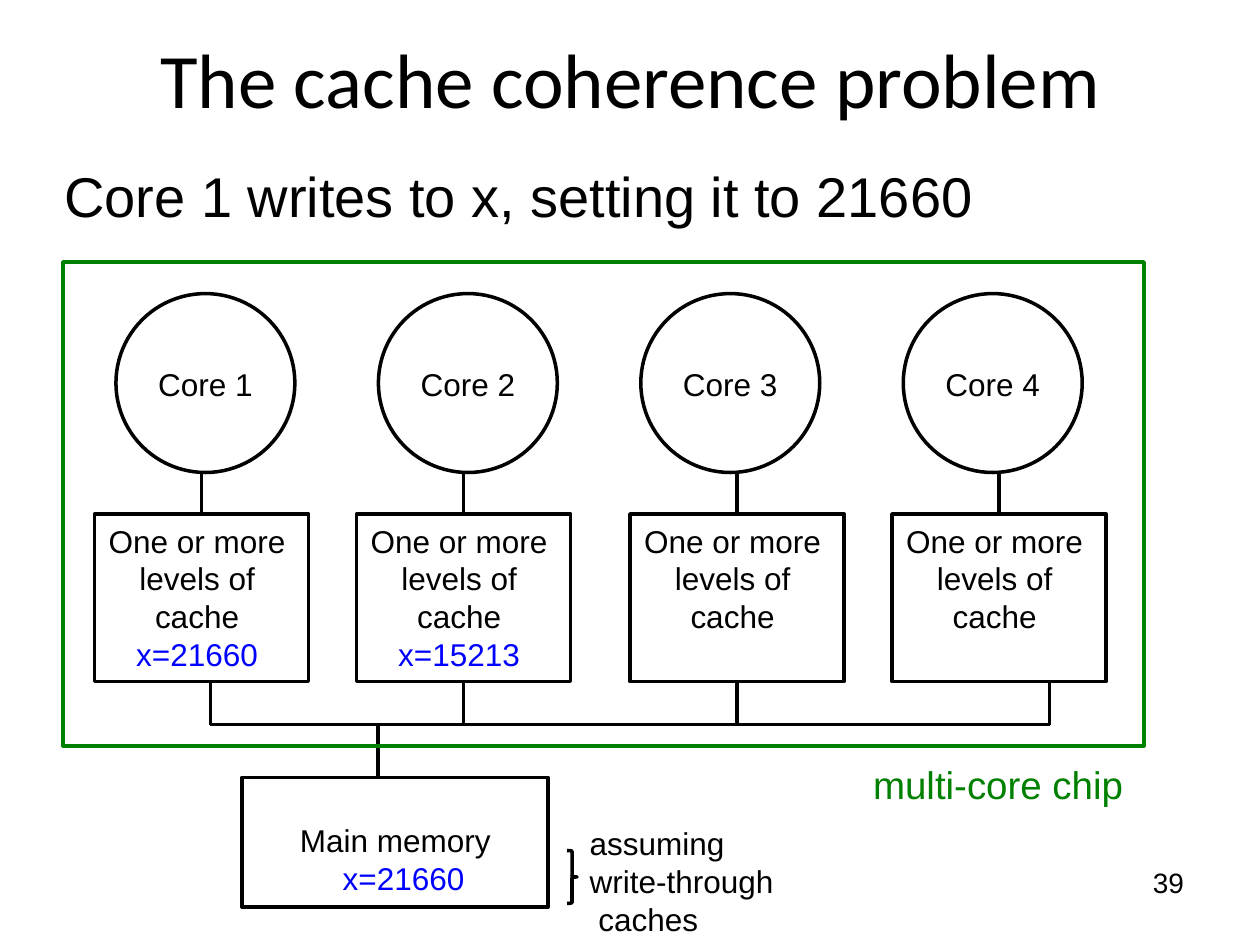
from lxml import etree
from pptx import Presentation
from pptx.dml.color import RGBColor
from pptx.enum import shapes, text
from pptx.oxml import ns
from pptx.util import Inches, Pt

THEME = {
    "font": "Arial", "title_font": "Calibri",
    "ink": RGBColor(0x00, 0x00, 0x00), "value": RGBColor(0x00, 0x00, 0xFF),
    "line": RGBColor(0x01, 0x01, 0x01), "chip": RGBColor(0x00, 0x80, 0x00),
    "title": 44, "lead": 32, "chip_label": 22, "body": 18, "number": 16,
    "stroke": 2,
}
LEFT, CENTER = text.PP_ALIGN.LEFT, text.PP_ALIGN.CENTER
TOP, MIDDLE = text.MSO_ANCHOR.TOP, text.MSO_ANCHOR.MIDDLE
SHAPE = shapes.MSO_SHAPE

# Content: a line is (text, colour key, left indent in inches)
TITLE = "The cache coherence problem"
CACHE_LINES = [("One or more", "ink", 0), ("levels of", "ink", 0), ("cache", "ink", 0)]
CORES = [  # core name, cached value, left edge of cache box, x of drop to bus
    ("Core 1", "x=21660", 0.75, 1.67),
    ("Core 2", "x=15213", 2.83, None),
    ("Core 3", None, 5.0, None),
    ("Core 4", None, 7.08, 8.33),
]
MEMORY_LINES = [("Main memory", "ink", 0.02), ("x=21660", "value", 0.36)]
LABELS = [  # lines, box, size key
    ([("Core 1 writes to x, setting it to 21660", "ink", 0.01)],
     (0.5, 1.27, 7.4, 0.56), "lead"),
    ([("multi-core chip", "chip", 0.01)], (6.92, 6.03, 2.1, 0.4), "chip_label"),
    ([("assuming", "ink", 0.01), ("write-through", "ink", 0.01), ("caches", "ink", 0.08)],
     (4.67, 6.53, 1.6, 0.93), "body"),
    ([("39", "ink", 0.01)], (9.14, 6.86, 0.35, 0.3), "number"),
]

# Geometry, in inches
CHIP = (0.5, 2.08, 8.58, 3.84)
MEMORY = (1.92, 6.17, 2.43, 1.03)
BRACE = (4.5, 6.75, 0.08, 0.42)
CORE_LEFT, CORE_TOP, CORE_SIZE, CORE_STEP = 0.92, 2.33, 1.42, 2.083
CACHE_TOP, CACHE_W, CACHE_H = 4.08, 1.7, 1.33
BUS_Y, BUS_TO_MEMORY_X = 5.75, 3.0


def write(sp, lines, size="body", align=LEFT, anchor=TOP,
          margins=(0, 0.01, 0, 0), font="font"):
    tf = sp.text_frame
    left, top, right, bottom = map(Inches, margins)
    frame = {"word_wrap": True, "auto_size": text.MSO_AUTO_SIZE.NONE,
             "vertical_anchor": anchor, "margin_left": left, "margin_top": top,
             "margin_right": right, "margin_bottom": bottom}
    for name, value in frame.items():
        setattr(tf, name, value)
    for i, (words, colour, indent) in enumerate(lines):
        p = tf.paragraphs[0] if i == 0 else tf.add_paragraph()
        p.alignment = align
        p.space_before = Pt(1 if i == 0 else 0)
        p._p.get_or_add_pPr().set("marL", str(Inches(indent)))
        r = p.add_run()
        r.text = words
        r.font.size, r.font.name = Pt(THEME[size]), THEME[font]
        r.font.color.rgb = THEME[colour]


def outline(slide, kind, box, colour="line"):
    sp = slide.shapes.add_shape(kind, *map(Inches, box))
    sp.shadow.inherit = False
    sp.fill.background()
    sp.line.color.rgb, sp.line.width = THEME[colour], Pt(THEME["stroke"])
    return sp


def wire(slide, x1, y1, x2, y2):
    cn = slide.shapes.add_connector(
        shapes.MSO_CONNECTOR.STRAIGHT, *map(Inches, (x1, y1, x2, y2)))
    cn.line.color.rgb, cn.line.width = THEME["line"], Pt(THEME["stroke"])
    etree.SubElement(cn._element.spPr, ns.qn("a:effectLst"))
    return cn


def add_core(slide, index, name, value, left, drop_x):
    # Core and its cache
    core = outline(slide, SHAPE.OVAL, (CORE_LEFT + index * CORE_STEP, CORE_TOP,
                                       CORE_SIZE, CORE_SIZE))
    write(core, [(name, "ink", 0)], align=CENTER, anchor=MIDDLE)
    cache = outline(slide, SHAPE.RECTANGLE, (left, CACHE_TOP, CACHE_W, CACHE_H))
    lines = CACHE_LINES + ([(value, "value", 0)] if value else [])
    write(cache, lines, align=CENTER, margins=(0.1, 0.06, 0.17, 0))
    # Wires from core to cache and from cache to bus
    middle, cache_bottom = left + CACHE_W / 2, CACHE_TOP + CACHE_H
    link = wire(slide, middle, CORE_TOP + CORE_SIZE, middle, CACHE_TOP)
    link.end_connect(cache, 0)
    x = drop_x or middle
    drop = wire(slide, x, cache_bottom, x, BUS_Y)
    if drop_x is None:
        drop.begin_connect(cache, 2)


def main():
    prs = Presentation()
    prs.slide_width, prs.slide_height = Inches(10), Inches(7.5)
    slide = prs.slides.add_slide(prs.slide_layouts[5])

    # Title
    title = slide.shapes.title
    box = dict(left=0.86, top=0.23, width=8.29, height=0.76)
    for name, value in box.items():
        setattr(title, name, Inches(value))
    write(title, [(TITLE, "ink", 0)], "title", CENTER, MIDDLE, font="title_font")

    # Cores, caches and the bus
    for i, core in enumerate(CORES):
        add_core(slide, i, *core)
    wire(slide, CORES[0][3], BUS_Y, CORES[-1][3], BUS_Y)

    # Main memory
    memory = outline(slide, SHAPE.RECTANGLE, MEMORY)
    write(memory, MEMORY_LINES, margins=(0.44, 0.35, 0, 0))
    wire(slide, BUS_TO_MEMORY_X, BUS_Y, BUS_TO_MEMORY_X, MEMORY[1])

    # Chip frame, brace and labels
    outline(slide, SHAPE.RECTANGLE, CHIP, "chip")
    outline(slide, SHAPE.RIGHT_BRACE, BRACE)
    for lines, place, size in LABELS:
        write(slide.shapes.add_textbox(*map(Inches, place)), lines, size)

    prs.save("out.pptx")


if __name__ == "__main__":
    main()
